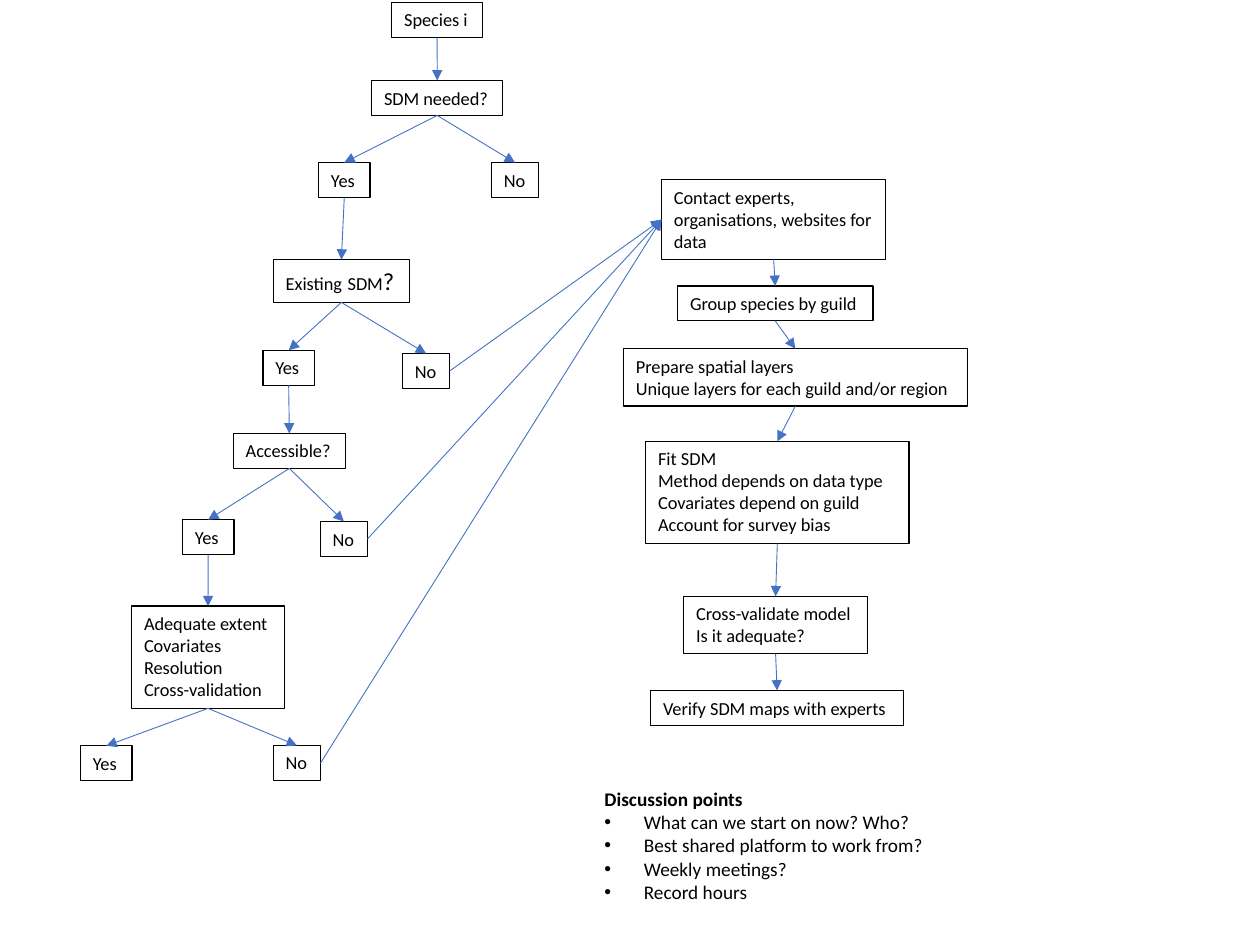
"""Build a decision flowchart for species distribution models with discussion points."""
from lxml.etree import SubElement
from pptx import Presentation
from pptx.dml.color import RGBColor
from pptx.enum.shapes import MSO_CONNECTOR
from pptx.enum.text import MSO_ANCHOR, MSO_AUTO_SIZE, PP_ALIGN
from pptx.oxml.ns import qn
from pptx.util import Pt

THEME = {
    "font": "Calibri", "ink": RGBColor(0, 0, 0), "arrow": RGBColor(0x44, 0x72, 0xC4),
    "step": Pt(10.5), "emphasis": Pt(14), "discussion": Pt(11),
    "border": Pt(0.75), "arrow_width": Pt(0.5),
}
LINE_HEIGHT, PADDING = 12.8, 7.2
YES_WIDTH, NO_WIDTH = 29.5, 27
TOP, LEFT, BOTTOM, RIGHT = range(4)

STEPS = {
    "species": (223.9, 1.4, 51.8, ["Species i"]),
    "needed": (212.4, 46, 74.9, ["SDM needed?"]),
    "needed yes": (182, 92.9, YES_WIDTH, ["Yes"]),
    "needed no": (280.8, 92.9, NO_WIDTH, ["No"]),
    "existing": (156.2, 148.4, 77.8, ["Existing SDM?"]),
    "existing yes": (150.2, 200.2, YES_WIDTH, ["Yes"]),
    "existing no": (230, 202, NO_WIDTH, ["No"]),
    "accessible": (133.3, 247.7, 64.1, ["Accessible?"]),
    "accessible yes": (104.2, 297, YES_WIDTH, ["Yes"]),
    "accessible no": (183, 298, NO_WIDTH, ["No"]),
    "adequate": (75.2, 346.4, 87.4,
                 ["Adequate extent", "Covariates", "Resolution", "Cross-validation"]),
    "adequate yes": (46, 426.2, YES_WIDTH, ["Yes"]),
    "adequate no": (156.2, 426, NO_WIDTH, ["No"]),
    "contact": (378, 102.7, 128.2, ["Contact experts,", "organisations, websites for data"]),
    "group": (387.2, 163.4, 111.6, ["Group species by guild"]),
    "prepare": (356.3, 199.3, 196.4,
                ["Prepare spatial layers", "Unique layers for each guild and/or region"]),
    "fit": (369, 252.2, 150.4, ["Fit SDM", "Method depends on data type",
                                "Covariates depend on guild", "Account for survey bias"]),
    "validate": (390.7, 340.8, 105, ["Cross-validate model", "Is it adequate?"]),
    "verify": (371.8, 394.6, 144.6, ["Verify SDM maps with experts"]),
}
HEIGHTS = {"existing": 24.4, "contact": 45.6}
MIXED_SIZES = {
    "existing": [("Existing", "step"), (" ", "emphasis"), ("SDM", "step"), ("?", "emphasis")],
}
WRAPPED = {"contact"}

QUESTIONS = ["needed", "existing", "accessible", "adequate"]
DATA_PATH = ["contact", "group", "prepare", "fit", "validate", "verify"]
DISCUSSION = ["Discussion points", "What can we start on now? Who?",
              "Best shared platform to work from?", "Weekly meetings?", "Record hours"]


def style_run(run, size, bold=False):
    run.font.name = THEME["font"]
    run.font.size = size
    run.font.bold = bold
    run.font.color.rgb = THEME["ink"]


def add_step(slide, name):
    left, top, width, lines = STEPS[name]
    height = HEIGHTS.get(name, PADDING + LINE_HEIGHT * len(lines))
    step = slide.shapes.add_textbox(Pt(left), Pt(top), Pt(width), Pt(height))
    step.line.color.rgb = THEME["ink"]
    step.line.width = THEME["border"]
    frame = step.text_frame
    frame.word_wrap = name in WRAPPED
    frame.auto_size = MSO_AUTO_SIZE.SHAPE_TO_FIT_TEXT
    if name in MIXED_SIZES:
        for words, size in MIXED_SIZES[name]:
            run = frame.paragraphs[0].add_run()
            run.text = words
            style_run(run, THEME[size])
    else:
        frame.text = "\n".join(lines)
        for paragraph in frame.paragraphs:
            style_run(paragraph.runs[0], THEME["step"])
    return step


def add_arrow(slide, start, start_side, end, end_side):
    arrow = slide.shapes.add_connector(MSO_CONNECTOR.STRAIGHT, 0, 0, 0, 0)
    arrow.begin_connect(start, start_side)
    arrow.end_connect(end, end_side)
    arrow.line.color.rgb = THEME["arrow"]
    arrow.line.width = THEME["arrow_width"]
    SubElement(arrow.line._get_or_add_ln(), qn("a:tailEnd"), type="triangle")
    SubElement(arrow._element.spPr, qn("a:effectLst"))


def fill_discussion(body):
    body.left, body.top, body.width, body.height = Pt(338.2), Pt(446.4), Pt(198.7), Pt(74.2)
    frame = body.text_frame
    frame.text = "\n".join(DISCUSSION)
    frame.word_wrap = False
    frame.auto_size = MSO_AUTO_SIZE.SHAPE_TO_FIT_TEXT
    frame.vertical_anchor = MSO_ANCHOR.TOP
    for index, paragraph in enumerate(frame.paragraphs):
        paragraph.alignment = PP_ALIGN.LEFT
        paragraph.space_before = Pt(0)
        indent = Pt(22.5) if index else Pt(0)
        properties = paragraph._p.get_or_add_pPr()
        properties.set("marL", str(int(indent)))
        properties.set("indent", str(-int(indent)))
        if index:
            SubElement(properties, qn("a:buFont"), typeface="Arial")
            SubElement(properties, qn("a:buChar"), char="•")
        else:
            SubElement(properties, qn("a:buNone"))
        style_run(paragraph.runs[0], THEME["discussion"], bold=index == 0)


deck = Presentation()
deck.slide_width, deck.slide_height = Pt(720), Pt(540)
slide = deck.slides.add_slide(deck.slide_layouts[1])
title = slide.shapes.title._element
title.getparent().remove(title)
fill_discussion(slide.placeholders[1])

steps = {name: add_step(slide, name) for name in STEPS}
downward = [("species", "needed")]
downward += [(question, f"{question} {answer}") for question in QUESTIONS for answer in ("yes", "no")]
downward += [(f"{question} yes", following) for question, following in zip(QUESTIONS, QUESTIONS[1:])]
downward += list(zip(DATA_PATH, DATA_PATH[1:]))
for start, end in downward:
    add_arrow(slide, steps[start], BOTTOM, steps[end], TOP)
for question in QUESTIONS[1:]:
    add_arrow(slide, steps[f"{question} no"], RIGHT, steps["contact"], LEFT)

deck.save("out.pptx")
